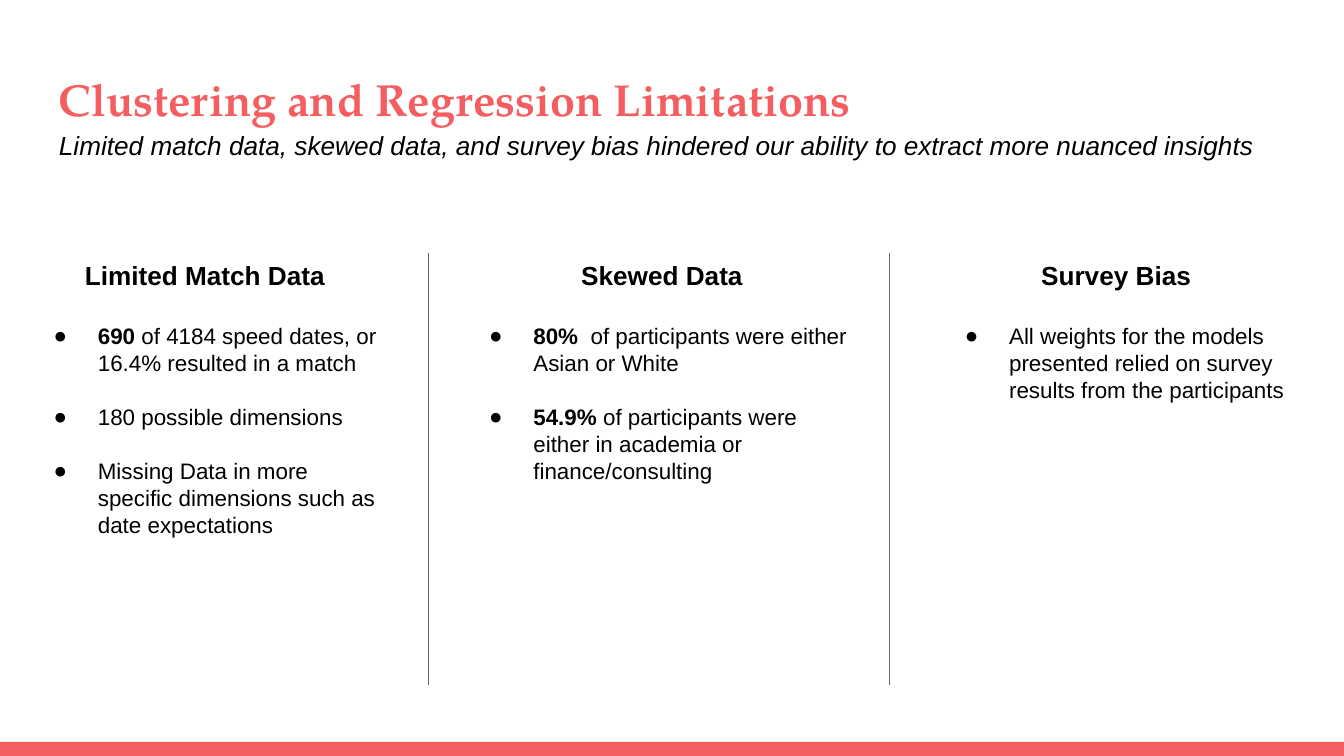
from dataclasses import dataclass

from lxml import etree
from pptx import Presentation
from pptx import util as u
from pptx.dml.color import RGBColor
from pptx.enum import shapes, text
from pptx.oxml.ns import qn


@dataclass(frozen=True)
class Theme:
    accent: RGBColor = RGBColor(0xF5, 0x5E, 0x61)
    ink: RGBColor = RGBColor(0, 0, 0)
    rule: RGBColor = RGBColor(0x5E, 0x69, 0x6C)
    title_font: str = "TeX Gyre Pagella"
    body_font: str = "Arial"
    title_size: float = 24
    heading_size: float = 14
    body_size: float = 12
    heading_gap: float = 17
    item_gap: float = 14.5


@dataclass(frozen=True)
class Item:
    plain: str
    bold: str = ""


@dataclass(frozen=True)
class Column:
    left: float
    width: float
    height: float
    heading: str
    items: tuple[Item, ...]


THEME = Theme()
PAGE_WIDTH = 10
PAGE_HEIGHT = PAGE_WIDTH * 9 / 16
BAR_TOP, BAR_HEIGHT = 5.52, 0.11
HEADER_LEFT, HEADER_WIDTH = 0.34, 9.32
COLUMN_TOP = 1.83
DIVIDER_TOP, DIVIDER_BOTTOM = 1.88, 5.1
DIVIDERS = (3.19, 6.62)

COLUMNS = (
    Column(0.13, 2.79, 2.95, "Limited Match Data", (
        Item(" of 4184 speed dates, or 16.4% resulted in a match", "690"),
        Item("180 possible dimensions"),
        Item("Missing Data in more specific dimensions such as date expectations"),
    )),
    Column(3.37, 3.11, 2.06, "Skewed Data", (
        Item(" of participants were either Asian or White", "80% "),
        Item("of participants were either in academia or finance/consulting", "54.9% "),
    )),
    Column(6.91, 2.79, 2.06, "Survey Bias", (
        Item("All weights for the models presented relied on survey results "
             "from the participants"),
    )),
)


def add_text_frame(page, left: float, top: float, width: float, height: float):
    box = page.shapes.add_textbox(
        u.Inches(left), u.Inches(top), u.Inches(width), u.Inches(height))
    frame = box.text_frame
    frame.word_wrap = True
    frame.vertical_anchor = text.MSO_ANCHOR.TOP
    frame.margin_left = frame.margin_right = u.Inches(0.1)
    frame.margin_top = frame.margin_bottom = u.Inches(0.1)
    return frame


def style(para, size: float, name: str = THEME.body_font,
          color: RGBColor = THEME.ink, bold: bool = False,
          italic: bool = False) -> None:
    font = para.font
    font.size, font.name = u.Pt(size), name
    font.bold, font.italic = bold, italic
    font.color.rgb = color


def add_bullet(para) -> None:
    props = para._p.get_or_add_pPr()
    props.set("marL", str(u.Inches(0.5)))
    props.set("indent", str(-u.Inches(0.33)))
    defaults = props.find(qn("a:defRPr"))
    for tag, key, value in (
        ("a:buSzPts", "val", str(THEME.body_size * 100)),
        ("a:buFont", "typeface", THEME.body_font),
        ("a:buChar", "char", "●"),
    ):
        defaults.addprevious(etree.Element(qn(tag), {key: value}))


def add_column(page, column: Column) -> None:
    frame = add_text_frame(page, column.left, COLUMN_TOP, column.width, column.height)
    heading = frame.paragraphs[0]
    heading.text = column.heading
    heading.alignment = text.PP_ALIGN.CENTER
    style(heading, THEME.heading_size, bold=True)
    for index, item in enumerate(column.items):
        para = frame.add_paragraph()
        para.space_before = u.Pt(THEME.item_gap if index else THEME.heading_gap)
        style(para, THEME.body_size)
        add_bullet(para)
        if item.bold:
            span = para.add_run()
            span.text = item.bold
            span.font.bold = True
        para.add_run().text = item.plain


def add_divider(page, x: float) -> None:
    line = page.shapes.add_connector(
        shapes.MSO_CONNECTOR.STRAIGHT, u.Inches(x), u.Inches(DIVIDER_TOP),
        u.Inches(x), u.Inches(DIVIDER_BOTTOM))
    line.line.color.rgb = THEME.rule
    line.line.width = u.Pt(0.75)
    etree.SubElement(line._element.spPr, qn("a:effectLst"))


def add_bottom_bar(page) -> None:
    bar = page.shapes.add_shape(
        shapes.MSO_SHAPE.RECTANGLE, 0, u.Inches(BAR_TOP),
        u.Inches(PAGE_WIDTH), u.Inches(BAR_HEIGHT))
    bar.shadow.inherit = False
    bar.fill.solid()
    bar.fill.fore_color.rgb = THEME.accent
    bar.line.fill.background()


def main() -> None:
    deck = Presentation()
    deck.slide_width = u.Inches(PAGE_WIDTH)
    deck.slide_height = u.Inches(PAGE_HEIGHT)
    page = deck.slides.add_slide(deck.slide_layouts[6])

    add_bottom_bar(page)

    # Title and subtitle
    title = add_text_frame(page, HEADER_LEFT, 0.43, HEADER_WIDTH, 0.68).paragraphs[0]
    title.text = "Clustering and Regression Limitations"
    style(title, THEME.title_size, THEME.title_font, THEME.accent, bold=True)
    subtitle = add_text_frame(page, HEADER_LEFT, 0.86, HEADER_WIDTH, 0.47).paragraphs[0]
    subtitle.text = ("Limited match data, skewed data, and survey bias hindered "
                     "our ability to extract more nuanced insights")
    style(subtitle, THEME.heading_size, italic=True)

    # Three columns split by vertical rules
    for x in DIVIDERS:
        add_divider(page, x)
    for column in COLUMNS:
        add_column(page, column)

    deck.save("out.pptx")


if __name__ == "__main__":
    main()
